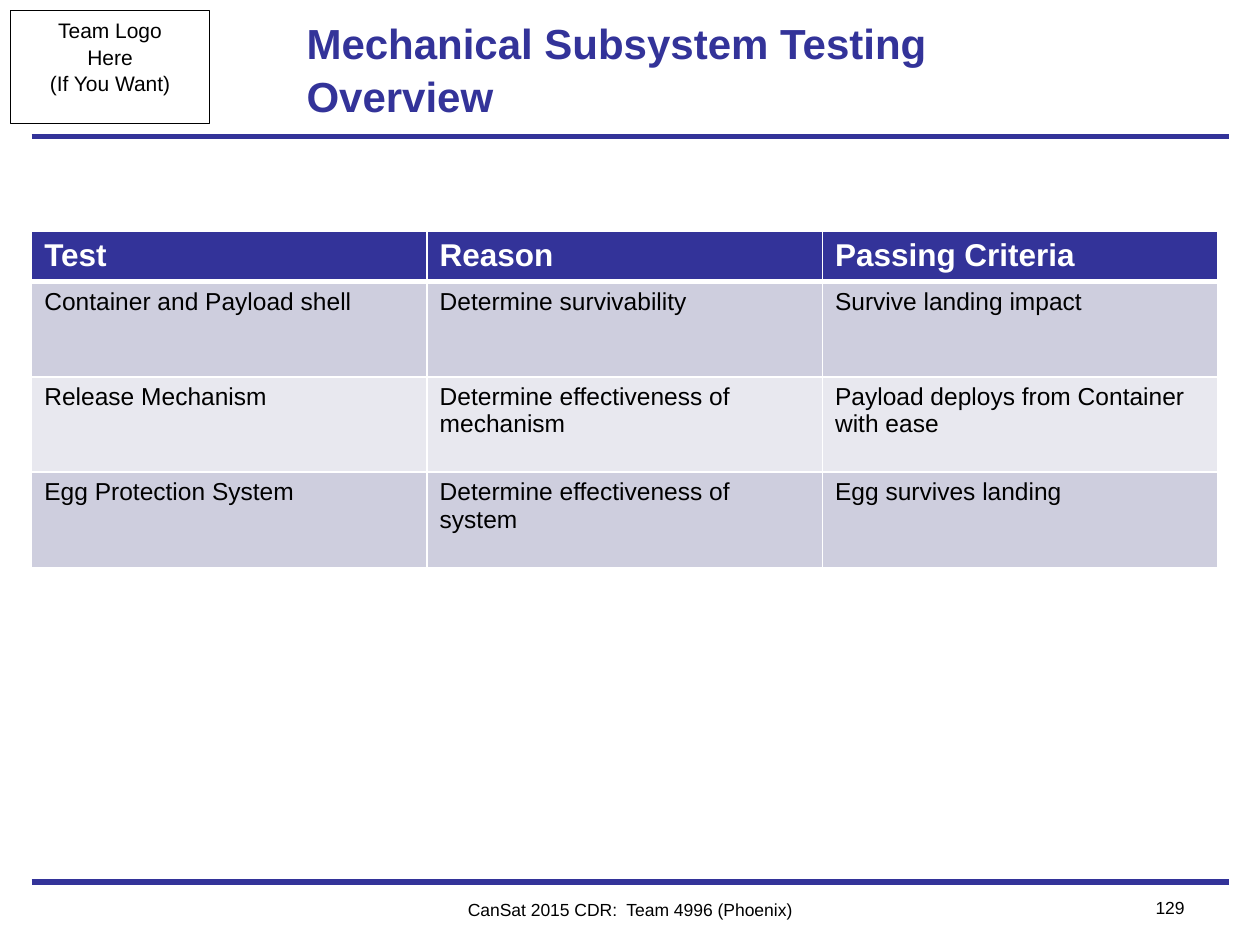
"""Build the mechanical subsystem testing overview slide."""
from dataclasses import dataclass

from lxml import etree
from pptx import Presentation
from pptx.dml.color import RGBColor
from pptx.enum import shapes, text
from pptx.oxml.ns import qn
from pptx.util import Cm, Pt

COLORS = {
    "navy": "333399",
    "band": "CECEDE",
    "light": "E8E8EF",
    "white": "FFFFFF",
    "black": "000000",
}
FONT = "Arial"
RULE_LEFT, RULE_RIGHT = 0.64, 24.77
COL_WIDTH, HEADER_HEIGHT, ROW_HEIGHT = 7.97, 1.01, 1.92
ROWS = [
    ("Test", "Reason", "Passing Criteria"),
    ("Container and Payload shell", "Determine survivability", "Survive landing impact"),
    ("Release Mechanism", "Determine effectiveness of mechanism",
     "Payload deploys from Container with ease"),
    ("Egg Protection System", "Determine effectiveness of system", "Egg survives landing"),
]


@dataclass(frozen=True)
class Style:
    size: float
    color: str = "black"
    bold: bool = False
    align: text.PP_ALIGN = text.PP_ALIGN.LEFT
    spacing: float = 1.0


@dataclass(frozen=True)
class Label:
    left: float
    top: float
    width: float
    height: float
    lines: tuple[str, ...]
    style: Style
    anchor: text.MSO_ANCHOR = text.MSO_ANCHOR.TOP
    outline: bool = False
    wrap: bool = True


LABELS = [
    Label(0.21, 0.21, 4.02, 2.29, ("Team Logo", "Here", "(If You Want)"),
          Style(12, align=text.PP_ALIGN.CENTER, spacing=1.05), outline=True, wrap=False),
    Label(5.93, 0.21, 15.03, 2.33, ("Mechanical Subsystem Testing Overview",),
          Style(24, "navy", True, spacing=1.05), text.MSO_ANCHOR.MIDDLE),
    Label(7.62, 17.99, 10.16, 0.69, ("CanSat 2015 CDR:  Team 4996 (Phoenix)",),
          Style(10, align=text.PP_ALIGN.CENTER)),
    Label(22.23, 17.95, 1.9, 0.69, ("129",), Style(10, align=text.PP_ALIGN.RIGHT)),
]


def rgb(name: str) -> RGBColor:
    return RGBColor.from_string(COLORS[name])


def write(tf, lines: tuple[str, ...], style: Style) -> None:
    tf.text = "\n".join(lines)
    for p in tf.paragraphs:
        p.alignment = style.align
        if style.spacing != 1:
            p.line_spacing = style.spacing
        p.font.name = FONT
        p.font.size = Pt(style.size)
        p.font.bold = style.bold
        p.font.color.rgb = rgb(style.color)


def add_label(s, label: Label) -> None:
    sp = s.shapes.add_textbox(Cm(label.left), Cm(label.top), Cm(label.width), Cm(label.height))
    if label.outline:
        sp.line.color.rgb = rgb("black")
        sp.line.width = Pt(0.5)
    tf = sp.text_frame
    tf.word_wrap = label.wrap
    tf.vertical_anchor = label.anchor
    write(tf, label.lines, label.style)


def add_rule(s, y: float) -> None:
    rule = s.shapes.add_connector(
        shapes.MSO_CONNECTOR.STRAIGHT, Cm(RULE_LEFT), Cm(y), Cm(RULE_RIGHT), Cm(y))
    rule.line.color.rgb = rgb("navy")
    rule.line.width = Pt(3)
    etree.SubElement(rule._element.spPr, qn("a:effectLst"))


def add_borders(cell, widths: dict[str, float]) -> None:
    props = cell._tc.get_or_add_tcPr()
    for i, (side, width) in enumerate(widths.items()):
        ln = etree.Element(qn(f"a:ln{side}"), w=str(Pt(width)))
        fill = etree.SubElement(ln, qn("a:solidFill"))
        etree.SubElement(fill, qn("a:srgbClr"), val=COLORS["white"])
        props.insert(i, ln)


def add_test_table(s, rows: list[tuple[str, ...]]) -> None:
    height = HEADER_HEIGHT + ROW_HEIGHT * (len(rows) - 1)
    table = s.shapes.add_table(len(rows), len(rows[0]), Cm(RULE_LEFT), Cm(4.66),
                               Cm(COL_WIDTH * len(rows[0])), Cm(height)).table
    for col in table.columns:
        col.width = Cm(COL_WIDTH)
    for i, row in enumerate(rows):
        header = i == 0
        table.rows[i].height = Cm(HEADER_HEIGHT if header else ROW_HEIGHT)
        fill = "navy" if header else "band" if i % 2 else "light"
        style = Style(18, "white", True) if header else Style(14)
        for j, words in enumerate(row):
            cell = table.cell(i, j)
            write(cell.text_frame, (words,), style)
            cell.fill.solid()
            cell.fill.fore_color.rgb = rgb(fill)
            add_borders(cell, {"L": 1, "R": 1, "T": 3 if i == 1 else 1, "B": 3 if header else 1})


def main() -> None:
    prs = Presentation()
    prs.slide_width, prs.slide_height = Cm(25.4), Cm(19.05)
    s = prs.slides.add_slide(prs.slide_layouts[6])
    for y in (2.75, 17.78):
        add_rule(s, y)
    for label in LABELS:
        add_label(s, label)
    add_test_table(s, ROWS)
    prs.save("out.pptx")


if __name__ == "__main__":
    main()
